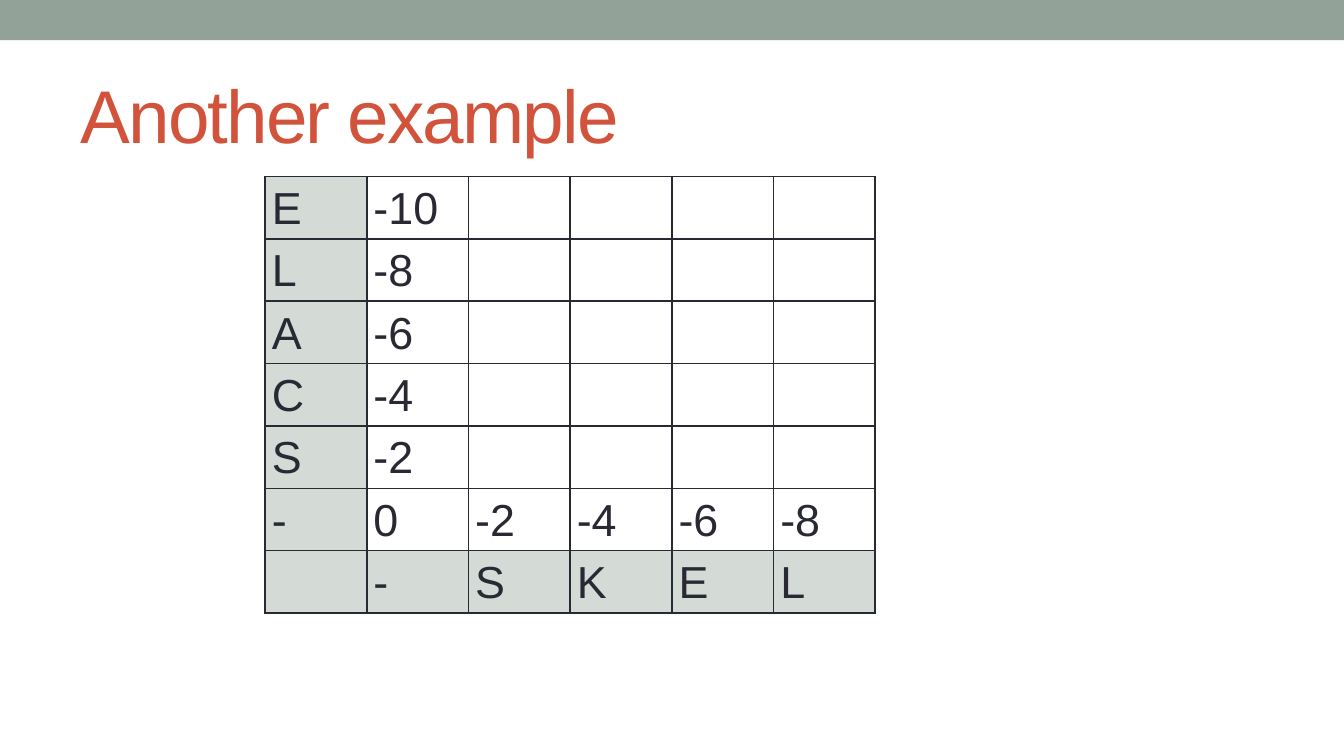
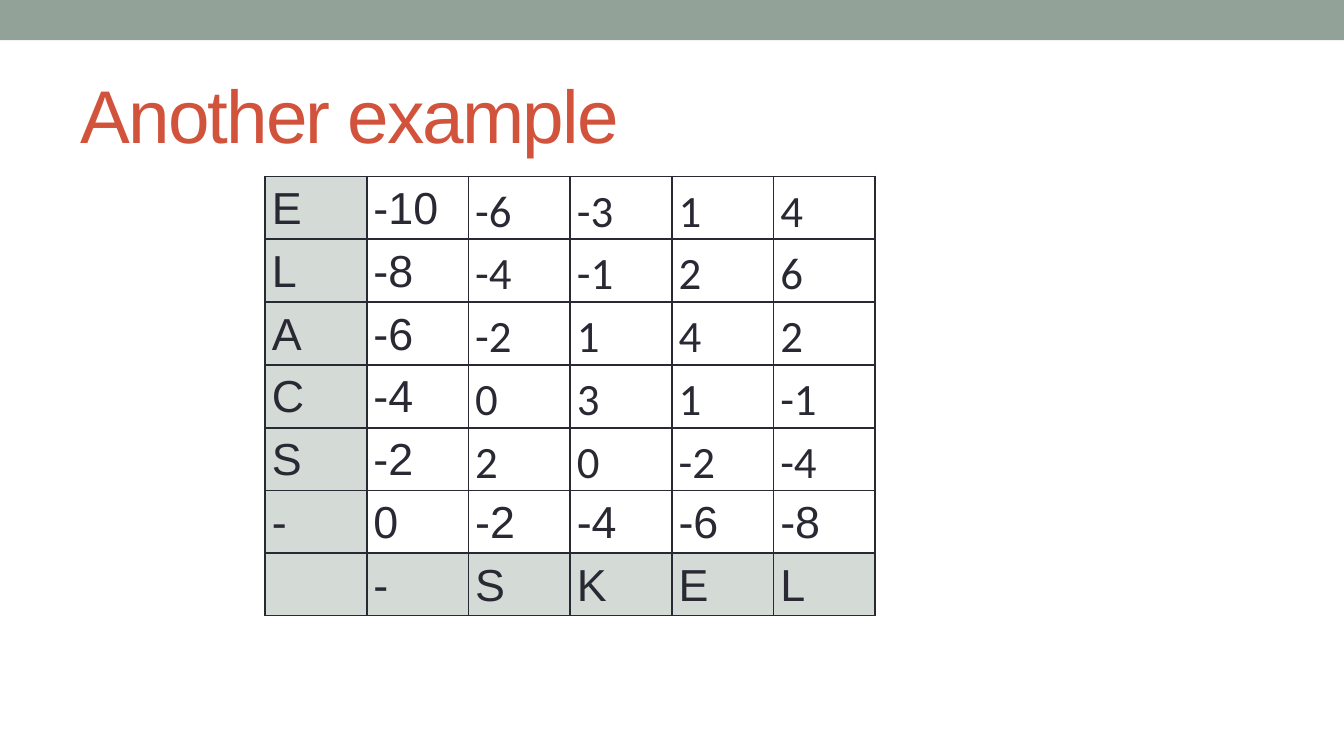
"""Build two slides that show an alignment score grid before and after filling."""
from dataclasses import dataclass

import lxml.etree
import pptx
import pptx.dml.color
import pptx.enum.shapes
import pptx.enum.text
import pptx.oxml.ns
import pptx.util

Pt = pptx.util.Pt


@dataclass(frozen=True)
class Theme:
    """Colours, fonts and type sizes shared by the slides."""
    band: str = "93A299"
    title: str = "D2533C"
    ink: str = "292934"
    header: str = "D4DAD6"
    font: str = "Arial"
    score_font: str = "Calibri"
    title_size: int = 40
    cell_size: int = 24


THEME = Theme()
SLIDE_WIDTH, SLIDE_HEIGHT = 720, 405
GRID_LEFT, GRID_TOP, GRID_WIDTH, GRID_HEIGHT = 142, 94.5, 327, 234
GAP_PENALTY = -2
ROW_LETTERS = "ELACS-"
COLUMN_LETTERS = "-SKEL"
SCORES = [
    [-6, -3, 1, 4],
    [-4, -1, 2, 6],
    [-2, 1, 4, 2],
    [0, 3, 1, -1],
    [2, 0, -2, -4],
]


def rgb(colour):
    """Turn a hex string into a colour."""
    return pptx.dml.color.RGBColor.from_string(colour)


def add_run(paragraph, text, size, colour, font):
    """Append a formatted run to a paragraph and return it."""
    run = paragraph.add_run()
    run.text = text
    run.font.size = Pt(size)
    run.font.name = font
    run.font.color.rgb = rgb(colour)
    return run


def add_band(slide):
    """Draw the band along the top edge."""
    band = slide.shapes.add_shape(
        pptx.enum.shapes.MSO_SHAPE.RECTANGLE, 0, 0, Pt(SLIDE_WIDTH), Pt(21.6))
    band.shadow.inherit = False
    band.fill.solid()
    band.fill.fore_color.rgb = rgb(THEME.band)
    band.line.fill.background()


def set_title(slide, text):
    """Place and fill the title placeholder."""
    title = slide.shapes.title
    title.left, title.top, title.width, title.height = Pt(36), Pt(31.5), Pt(648), Pt(58.5)
    frame = title.text_frame
    frame.auto_size = pptx.enum.text.MSO_AUTO_SIZE.NONE
    frame.vertical_anchor = pptx.enum.text.MSO_ANCHOR.MIDDLE
    paragraph = frame.paragraphs[0]
    paragraph.alignment = pptx.enum.text.PP_ALIGN.LEFT
    run = add_run(paragraph, text, THEME.title_size, THEME.title, THEME.font)
    run.font._element.set("spc", "-100")


def set_borders(cell):
    """Give a cell a thin line on all four sides."""
    properties = cell._tc.get_or_add_tcPr()
    for position, side in enumerate(("lnL", "lnR", "lnT", "lnB")):
        line = lxml.etree.Element(pptx.oxml.ns.qn(f"a:{side}"), w=str(Pt(1)))
        fill = lxml.etree.SubElement(line, pptx.oxml.ns.qn("a:solidFill"))
        lxml.etree.SubElement(fill, pptx.oxml.ns.qn("a:srgbClr"), val=THEME.ink)
        properties.insert(position, line)


def fill_cell(cell, text, is_header, font):
    """Format one grid cell and write its text."""
    cell.margin_left = cell.margin_right = Pt(3.6)
    cell.margin_top = cell.margin_bottom = 0
    if is_header:
        cell.fill.solid()
        cell.fill.fore_color.rgb = rgb(THEME.header)
    else:
        cell.fill.background()
    set_borders(cell)
    if text:
        paragraph = cell.text_frame.paragraphs[0]
        paragraph.line_spacing = 1.15
        add_run(paragraph, text, THEME.cell_size, THEME.ink, font)


def grid_rows(scores):
    """List the grid's texts, with gap penalties along the edges."""
    last = len(ROW_LETTERS) - 1
    rows = []
    for index, letter in enumerate(ROW_LETTERS[:-1]):
        inner = scores[index] if scores else [""] * (len(COLUMN_LETTERS) - 1)
        rows.append([letter, GAP_PENALTY * (last - index), *inner])
    rows.append([ROW_LETTERS[-1], *(GAP_PENALTY * n for n in range(len(COLUMN_LETTERS)))])
    rows.append(["", *COLUMN_LETTERS])
    return [[str(value) for value in row] for row in rows]


def add_grid(slide, scores):
    """Add the score grid, with empty inner cells if there are no scores."""
    rows = grid_rows(scores)
    grid = slide.shapes.add_table(
        len(rows), len(rows[0]), Pt(GRID_LEFT), Pt(GRID_TOP),
        Pt(GRID_WIDTH), Pt(GRID_HEIGHT)).table
    grid.first_row = grid.horz_banding = False
    for r, row in enumerate(rows):
        for c, text in enumerate(row):
            is_header = c == 0 or r == len(rows) - 1
            is_score = c > 1 and r < len(SCORES)
            font = THEME.score_font if is_score else THEME.font
            fill_cell(grid.cell(r, c), text, is_header, font)


def main():
    """Build and save the presentation."""
    deck = pptx.Presentation()
    deck.slide_width, deck.slide_height = Pt(SLIDE_WIDTH), Pt(SLIDE_HEIGHT)
    for scores in (None, SCORES):
        slide = deck.slides.add_slide(deck.slide_layouts.get_by_name("Title Only"))
        add_band(slide)
        set_title(slide, "Another example")
        add_grid(slide, scores)
    deck.save("out.pptx")


if __name__ == "__main__":
    main()
